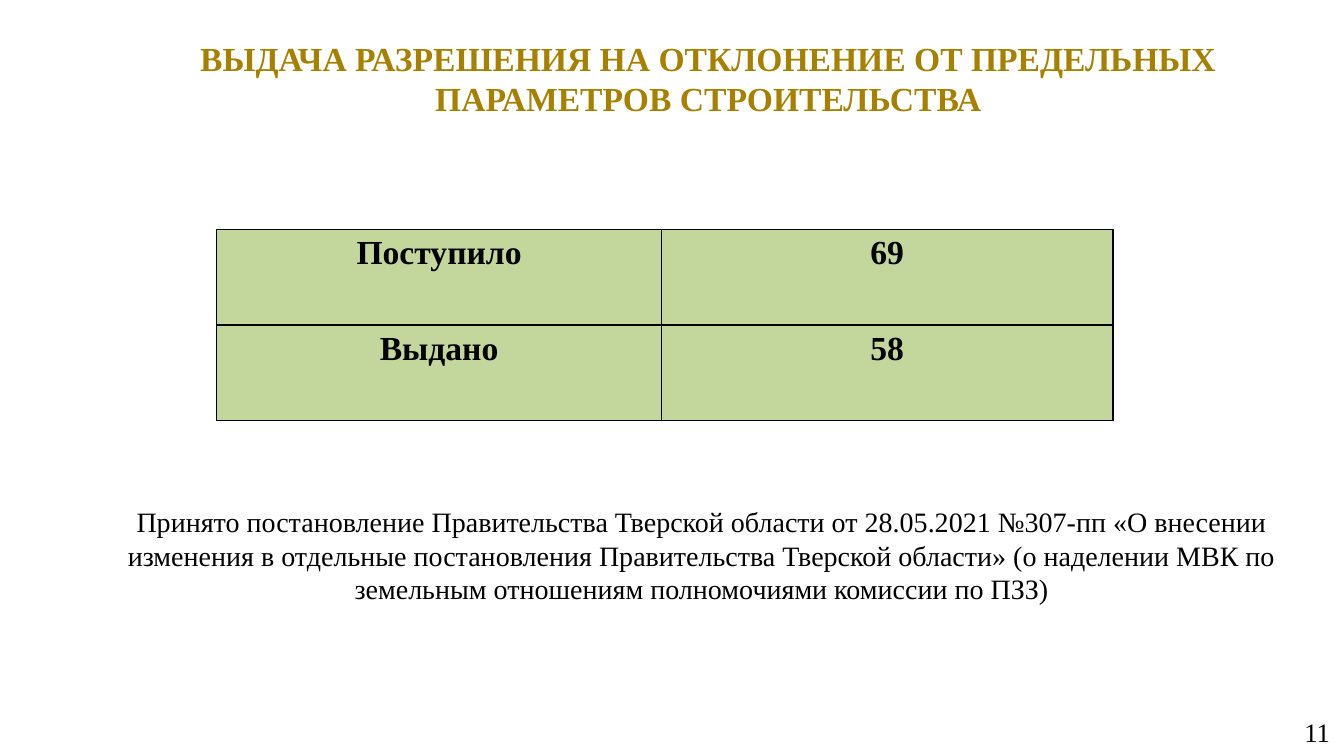
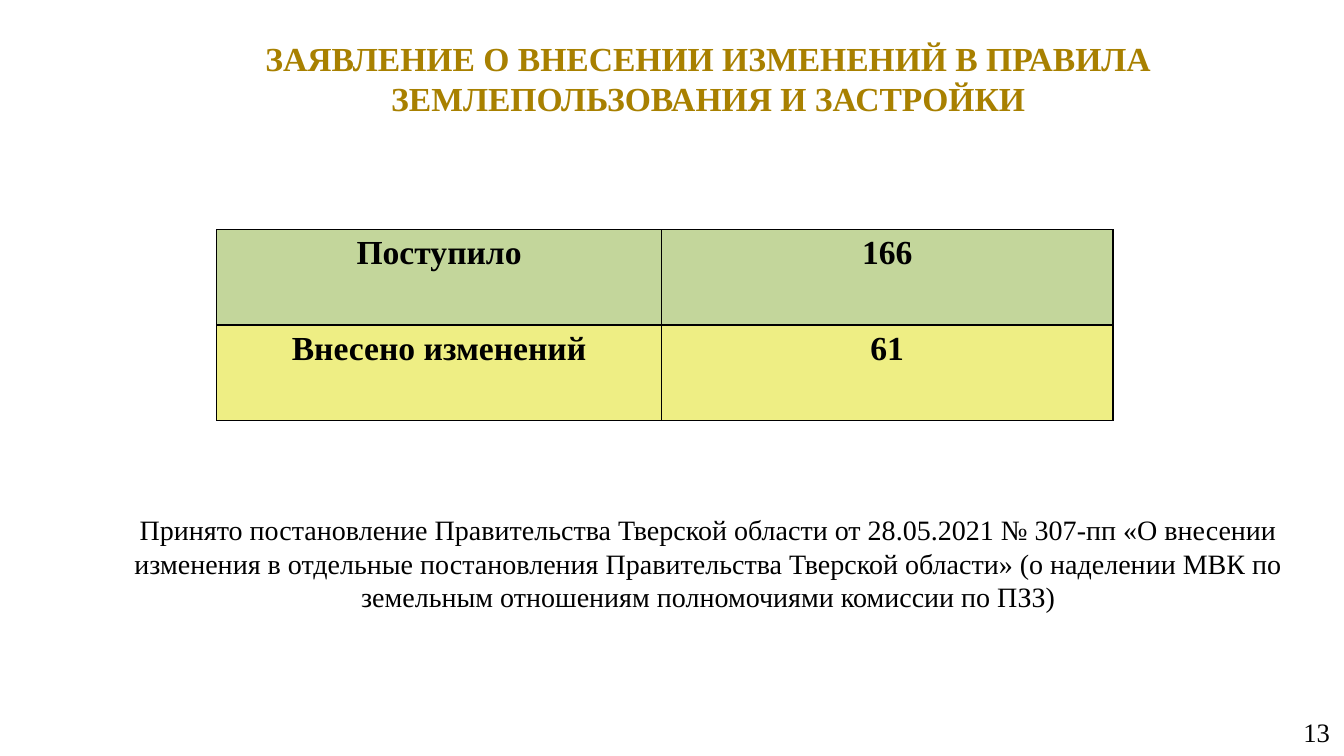
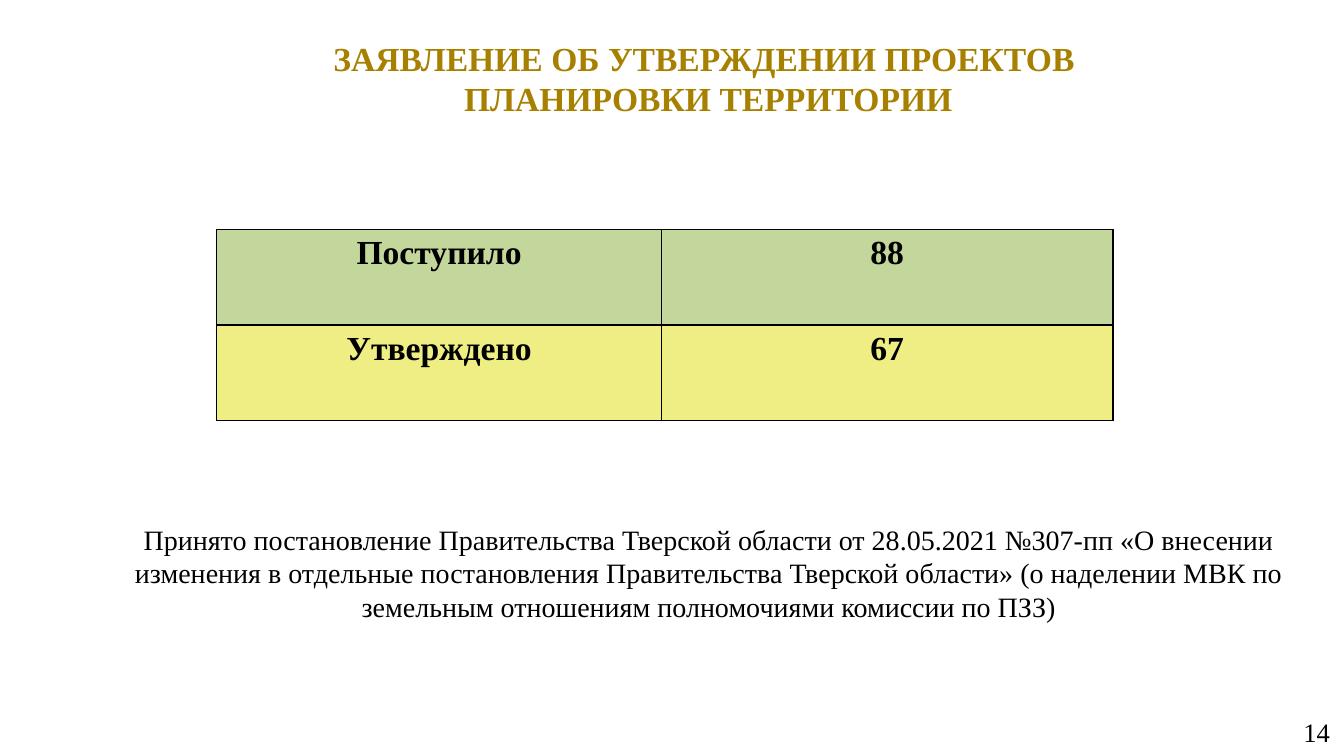
from lxml import etree
from pptx import Presentation
from pptx import util as u
from pptx.dml import color
from pptx.enum import text
from pptx.oxml import ns

FONT = "Times New Roman"
GOLD, BLACK, GREEN, YELLOW = "A88000", "000000", "C3D69B", "EEEE84"
MID = text.PP_ALIGN.CENTER
FRAME = dict(
    word_wrap=True,
    auto_size=text.MSO_AUTO_SIZE.NONE,
    vertical_anchor=text.MSO_ANCHOR.MIDDLE,
    margin_left=u.Inches(0.13), margin_right=u.Inches(0.13),
    margin_top=u.Inches(0.07), margin_bottom=u.Inches(0.07),
)
CELL = dict(
    vertical_anchor=text.MSO_ANCHOR.TOP,
    margin_left=u.Inches(0.13), margin_right=u.Inches(0.13),
    margin_top=u.Inches(0.05), margin_bottom=u.Inches(0.05),
)


def rgb(code):
    return color.RGBColor.from_string(code)


def apply(item, look):
    for name, value in look.items():
        setattr(item, name, value)


def inches(*sizes):
    return [u.Inches(size) for size in sizes]


def edge(cell, code=BLACK, width=0.96):
    """Draw a solid line on all four sides of a cell."""
    props = cell._tc.get_or_add_tcPr()
    for at, side in enumerate(("lnL", "lnR", "lnT", "lnB")):
        line = etree.Element(ns.qn("a:" + side), w=str(u.Pt(width)))
        fill = etree.SubElement(line, ns.qn("a:solidFill"))
        etree.SubElement(fill, ns.qn("a:srgbClr"), val=code)
        props.insert(at, line)


class Deck:
    def __init__(self):
        self.show = Presentation()
        self.show.slide_width, self.show.slide_height = inches(13.33, 7.5)
        self.slide = None

    def put(self, frame, words, size, code=BLACK, bold=False, align=MID):
        """Set the text of a frame in the deck's font."""
        para = frame.paragraphs[0]
        para.text = words
        para.alignment = align
        apply(para.font, dict(name=FONT, size=u.Pt(size), bold=bold))
        para.font.color.rgb = rgb(code)

    def start(self, title):
        """Add a slide and fill its title placeholder."""
        self.slide = self.show.slides.add_slide(self.show.slide_layouts[5])
        head = self.slide.shapes.title
        head.left, head.top, head.width, head.height = inches(1.31, 0.28, 11.43, 0.99)
        apply(head.text_frame, FRAME)
        self.put(head.text_frame, title, 24, GOLD, True)

    def label(self, box, words, size, align=MID):
        frame = self.slide.shapes.add_textbox(*inches(*box)).text_frame
        apply(frame, FRAME)
        self.put(frame, words, size, align=align)

    def number(self, page):
        self.label((10.22, 7.07, 3.1, 0.39), str(page), 19, text.PP_ALIGN.RIGHT)

    def table(self, rows, fills):
        box = inches(2.15, 2.28, 8.89, 1.89)
        grid = self.slide.shapes.add_table(len(rows), 2, *box).table
        for col, width in zip(grid.columns, inches(4.41, 4.48)):
            col.width = width
        for r, (row, fill) in enumerate(zip(rows, fills)):
            for c, words in enumerate(row):
                cell = grid.cell(r, c)
                apply(cell, CELL)
                cell.fill.solid()
                cell.fill.fore_color.rgb = rgb(fill)
                edge(cell)
                self.put(cell.text_frame, str(words), 24, bold=True)


NOTE = (
    "Принято постановление Правительства Тверской области от 28.05.2021 {} "
    "«О внесении изменения в отдельные постановления Правительства Тверской "
    "области» (о наделении МВК по земельным отношениям полномочиями комиссии по ПЗЗ)"
)
# title, page, received, result name, result, result fill, act number, note box
PAGES = [
    ("ВЫДАЧА РАЗРЕШЕНИЯ НА ОТКЛОНЕНИЕ ОТ ПРЕДЕЛЬНЫХ ПАРАМЕТРОВ СТРОИТЕЛЬСТВА",
     11, 69, "Выдано", 58, GREEN, "№307-пп", (1.01, 4.98, 11.9, 1.05)),
    ("ЗАЯВЛЕНИЕ О ВНЕСЕНИИ ИЗМЕНЕНИЙ В ПРАВИЛА ЗЕМЛЕПОЛЬЗОВАНИЯ И ЗАСТРОЙКИ",
     13, 166, "Внесено изменений", 61, YELLOW, "№ 307-пп", (1, 4.7, 12.05, 1.77)),
    ("ЗАЯВЛЕНИЕ ОБ УТВЕРЖДЕНИИ ПРОЕКТОВ \vПЛАНИРОВКИ ТЕРРИТОРИИ",
     14, 88, "Утверждено", 67, YELLOW, "№307-пп", (1.08, 4.98, 11.9, 1.4)),
]


def main():
    deck = Deck()
    for title, page, got, name, done, fill, act, box in PAGES:
        deck.start(title)
        deck.number(page)
        deck.table([("Поступило", got), (name, done)], (GREEN, fill))
        deck.label(box, NOTE.format(act), 20)
    deck.show.save("out.pptx")


if __name__ == "__main__":
    main()
